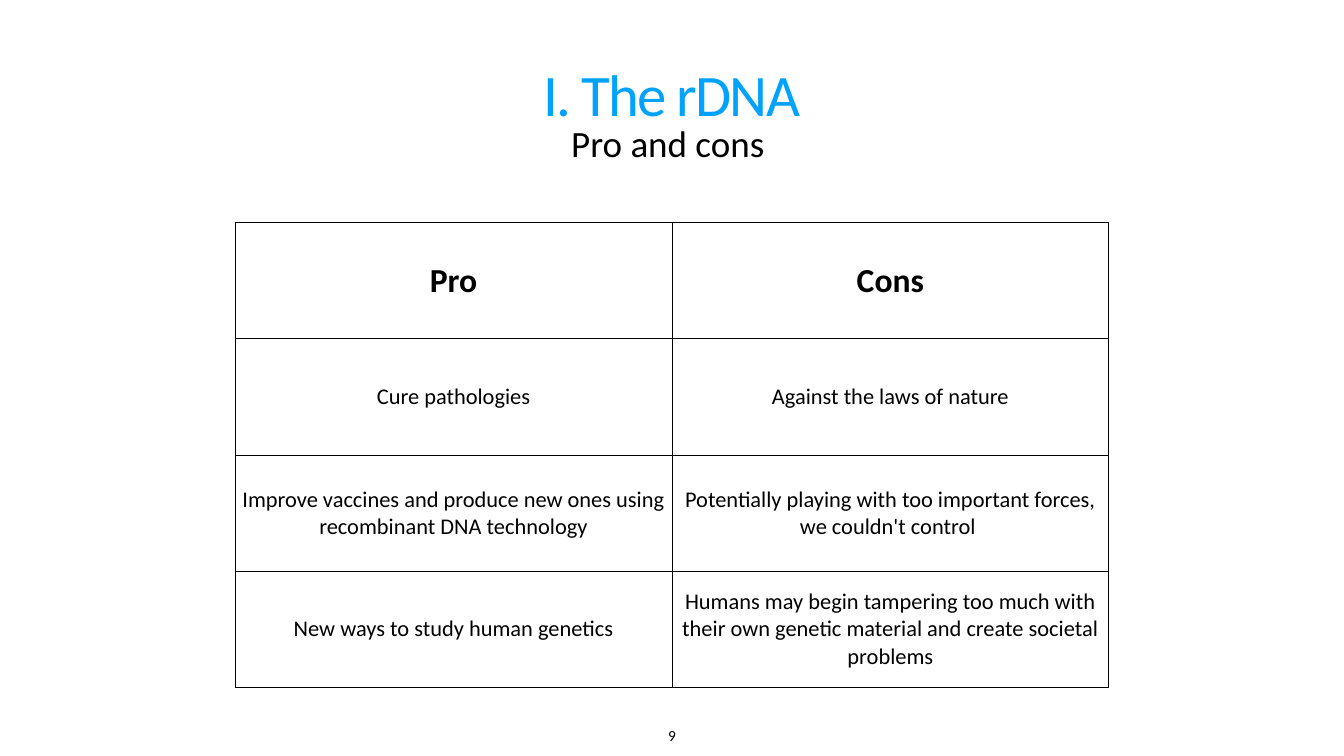
import pptx
import pptx.dml.color
import pptx.enum.text
import pptx.oxml.ns
import pptx.util
from lxml import etree

PX = 12700  # EMU per px, on a page of 1920 x 1080 px
INSET = 4
FONT = "Calibri"
BLACK = pptx.dml.color.RGBColor(0x00, 0x00, 0x00)
BLUE = pptx.dml.color.RGBColor(0x00, 0xA2, 0xFF)
TOP = pptx.enum.text.MSO_ANCHOR.TOP
MIDDLE = pptx.enum.text.MSO_ANCHOR.MIDDLE
BOTTOM = pptx.enum.text.MSO_ANCHOR.BOTTOM

ROWS = [
    ("Pro", "Cons"),
    ("Cure pathologies", "Against the laws of nature"),
    ("Improve vaccines and produce new ones using recombinant DNA technology",
     "Potentially playing with too important forces, we couldn't control "),
    ("New ways to study human genetics",
     "Humans may begin tampering too much with their own genetic material "
     "and create societal problems"),
]


def px(length):
    return pptx.util.Emu(length * PX)


def write(frame, text, size, color=BLACK, bold=False, leading=None, tracking=None):
    """Put one centred, formatted paragraph in a text frame."""
    para = frame.paragraphs[0]
    para.alignment = pptx.enum.text.PP_ALIGN.CENTER
    if leading:
        para.line_spacing = leading
    span = para.add_run()
    span.text = text
    span.font.name = FONT
    span.font.size = pptx.util.Pt(size)
    span.font.bold = bold
    span.font.color.rgb = color
    if tracking:
        span._r.get_or_add_rPr().set("spc", str(tracking))


def set_insets(holder):
    holder.margin_left = holder.margin_right = px(INSET)
    holder.margin_top = holder.margin_bottom = px(INSET)


def add_text(page, box, text, anchor=TOP, wrap=True, **style):
    frame = page.shapes.add_textbox(*map(px, box)).text_frame
    frame.word_wrap = wrap
    frame.vertical_anchor = anchor
    set_insets(frame)
    write(frame, text, **style)


def add_borders(cell):
    """Draw a thin black line on each side of a cell."""
    properties = cell._tc.get_or_add_tcPr()
    for index, side in enumerate(("lnL", "lnR", "lnT", "lnB")):
        line = etree.Element(pptx.oxml.ns.qn(f"a:{side}"), w=str(PX))
        fill = etree.SubElement(line, pptx.oxml.ns.qn("a:solidFill"))
        etree.SubElement(fill, pptx.oxml.ns.qn("a:srgbClr"), val=str(BLACK))
        properties.insert(index, line)


def add_heading(page, box):
    left, top, width, height = box
    add_text(page, (left, top, width, 122), "I. The rDNA", anchor=BOTTOM,
             size=84, color=BLUE, leading=0.8, tracking=-250)
    add_text(page, (left, top + 104, width, height - 104), "Pro and cons ", size=52.9)


def add_comparison(page, box):
    table = page.shapes.add_table(len(ROWS), len(ROWS[0]), *map(px, box)).table
    table.first_row = table.horz_banding = False
    for row, texts in enumerate(ROWS):
        for column, text in enumerate(texts):
            cell = table.cell(row, column)
            cell.fill.background()
            cell.vertical_anchor = MIDDLE
            set_insets(cell)
            add_borders(cell)
            header = row == 0
            write(cell.text_frame, text, size=48 if header else 32, bold=header)


def add_page_number(page, box):
    add_text(page, box, "9", anchor=BOTTOM, wrap=False, size=22)


def main():
    deck = pptx.Presentation()
    deck.slide_width, deck.slide_height = px(1920), px(1080)
    page = deck.slides.add_slide(deck.slide_layouts[6])
    add_heading(page, (100, 64, 1720, 184))
    add_comparison(page, (336, 318, 1248, 664))
    add_page_number(page, (949, 1029, 22, 38))
    deck.save("out.pptx")


if __name__ == "__main__":
    main()
